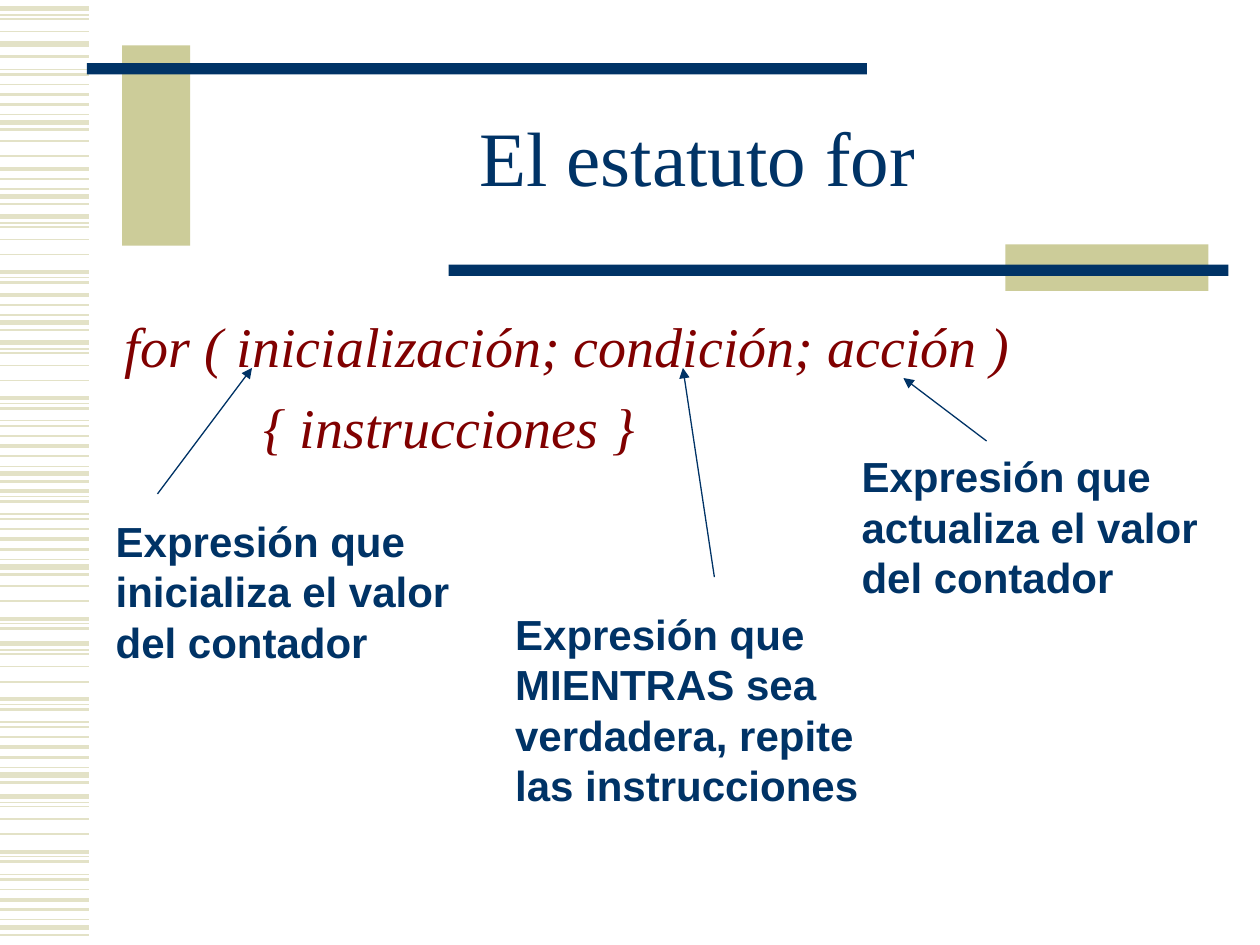
from pptx import Presentation
from pptx.dml.color import RGBColor
from pptx.enum.shapes import MSO_CONNECTOR, MSO_SHAPE
from pptx.enum.text import MSO_ANCHOR, MSO_AUTO_SIZE, PP_ALIGN
from pptx.oxml.ns import qn
from pptx.util import Inches, Pt
from lxml.etree import SubElement

COLORS = {"navy": "003366", "olive": "CCCC99", "pale": "E3E2C7", "red": "800000"}

# Stripe pattern: offset from its top in inches, weight in points
STRIPES = [
    (0, 3), (0.05, 0.75), (0.08, 1), (0.18, 1),
    (0.3, 1), (0.44, 2.25), (0.48, 0.75), (0.52, 1.5),
    (0.62, 0.75), (0.66, 1.5), (0.74, 1), (0.82, 2.25),
    (0.9, 1.5), (0.98, 0.75), (1.04, 3), (1.1, 1.5),
]
# Where the pattern starts, and which slice of it shows
RUNS = [
    (0.07, 0, 4), (0.35, 0, 1), (-0.07, 7, 16), (0.94, 3, 5),
    (0.52, 11, 16), (1.72, 0, 8), (1.52, 11, 16), (2.72, 0, 16),
    (3.46, 5, 16), (4.47, 3, 8), (5.11, 0, 16), (6.32, 0, 16),
]
BARS = [
    ("olive", 0.97, 0.36, 0.54, 1.59),
    ("navy", 0.69, 0.5, 6.19, 0.09),
    ("olive", 7.98, 1.94, 1.61, 0.37),
    ("navy", 3.56, 2.1, 6.19, 0.09),
]
NOTES = [
    (0.82, 4.04, 2.85, 1.3,
     ["Expresión que", "inicializa el valor", "del contador"]),
    (3.99, 4.78, 2.92, 1.7,
     ["Expresión que", "MIENTRAS sea", "verdadera, repite", "las instrucciones"]),
    (6.74, 3.53, 2.87, 1.3,
     ["Expresión que", "actualiza el valor", "del contador"]),
]
ARROWS = [
    (1.25, 3.92, 2, 2.92),
    (5.67, 4.58, 5.42, 2.92),
    (7.83, 3.5, 7.17, 3),
]


def color(name):
    return RGBColor.from_string(COLORS[name])


def style(para, face, size, tint, bold=False, italic=False):
    font = para.font
    font.name, font.size = face, Pt(size)
    font.bold, font.italic = bold, italic
    font.color.rgb = color(tint)


def place(shape, *box):
    shape.left, shape.top, shape.width, shape.height = map(Inches, box)


def add_line(slide, ends, tint, weight):
    line = slide.shapes.add_connector(MSO_CONNECTOR.STRAIGHT, *map(Inches, ends))
    line.line.color.rgb = color(tint)
    line.line.width = Pt(weight)
    SubElement(line._element.spPr, qn("a:effectLst"))
    return line


def add_arrow(slide, ends):
    line = add_line(slide, ends, "navy", 0.75)
    SubElement(line.line._get_or_add_ln(), qn("a:tailEnd"), type="triangle")


def add_bar(slide, tint, *box):
    bar = slide.shapes.add_shape(MSO_SHAPE.RECTANGLE, *map(Inches, box))
    bar.shadow.inherit = False
    bar.fill.solid()
    bar.fill.fore_color.rgb = color(tint)
    bar.line.fill.background()


def add_note(slide, left, top, width, height, lines):
    box = slide.shapes.add_textbox(*map(Inches, (left, top, width, height)))
    frame = box.text_frame
    frame.word_wrap = False
    frame.auto_size = MSO_AUTO_SIZE.SHAPE_TO_FIT_TEXT
    frame.text = "\n".join(lines)
    for para in frame.paragraphs:
        style(para, "Arial", 24, "navy", bold=True)


def set_title(slide):
    title = slide.shapes.title
    place(title, 1.5, 0.67, 8.07, 1.25)
    frame = title.text_frame
    frame.text = "El estatuto for"
    frame.vertical_anchor = MSO_ANCHOR.MIDDLE
    frame.auto_size = MSO_AUTO_SIZE.NONE
    para = frame.paragraphs[0]
    para.alignment = PP_ALIGN.CENTER
    para.line_spacing = 0.85
    style(para, "Times New Roman", 44, "navy")


def set_body(slide):
    body = slide.placeholders[1]
    place(body, 0.89, 2.42, 8.7, 4.24)
    frame = body.text_frame
    frame.auto_size = MSO_AUTO_SIZE.NONE
    frame.text = "for ( inicialización; condición; acción )\n{ instrucciones }"
    layout = [(0.38, -0.38, 0), (1.1, 0, 8)]
    for para, (margin, indent, space) in zip(frame.paragraphs, layout):
        props = para._p.get_or_add_pPr()
        props.set("marL", str(Inches(margin)))
        props.set("indent", str(Inches(indent)))
        SubElement(props, qn("a:buNone"))
        para.space_before = Pt(space)
        style(para, "Times New Roman", 32, "red", italic=True)


def main():
    deck = Presentation()
    deck.slide_width, deck.slide_height = Inches(10), Inches(7.5)
    slide = deck.slides.add_slide(deck.slide_layouts[1])
    for top, first, end in RUNS:
        for offset, weight in STRIPES[first:end]:
            y = top + offset
            add_line(slide, (0, y, 0.71, y), "pale", weight)
    for bar in BARS:
        add_bar(slide, *bar)
    set_title(slide)
    set_body(slide)
    for note in NOTES:
        add_note(slide, *note)
    for ends in ARROWS:
        add_arrow(slide, ends)
    deck.save("out.pptx")


if __name__ == "__main__":
    main()
